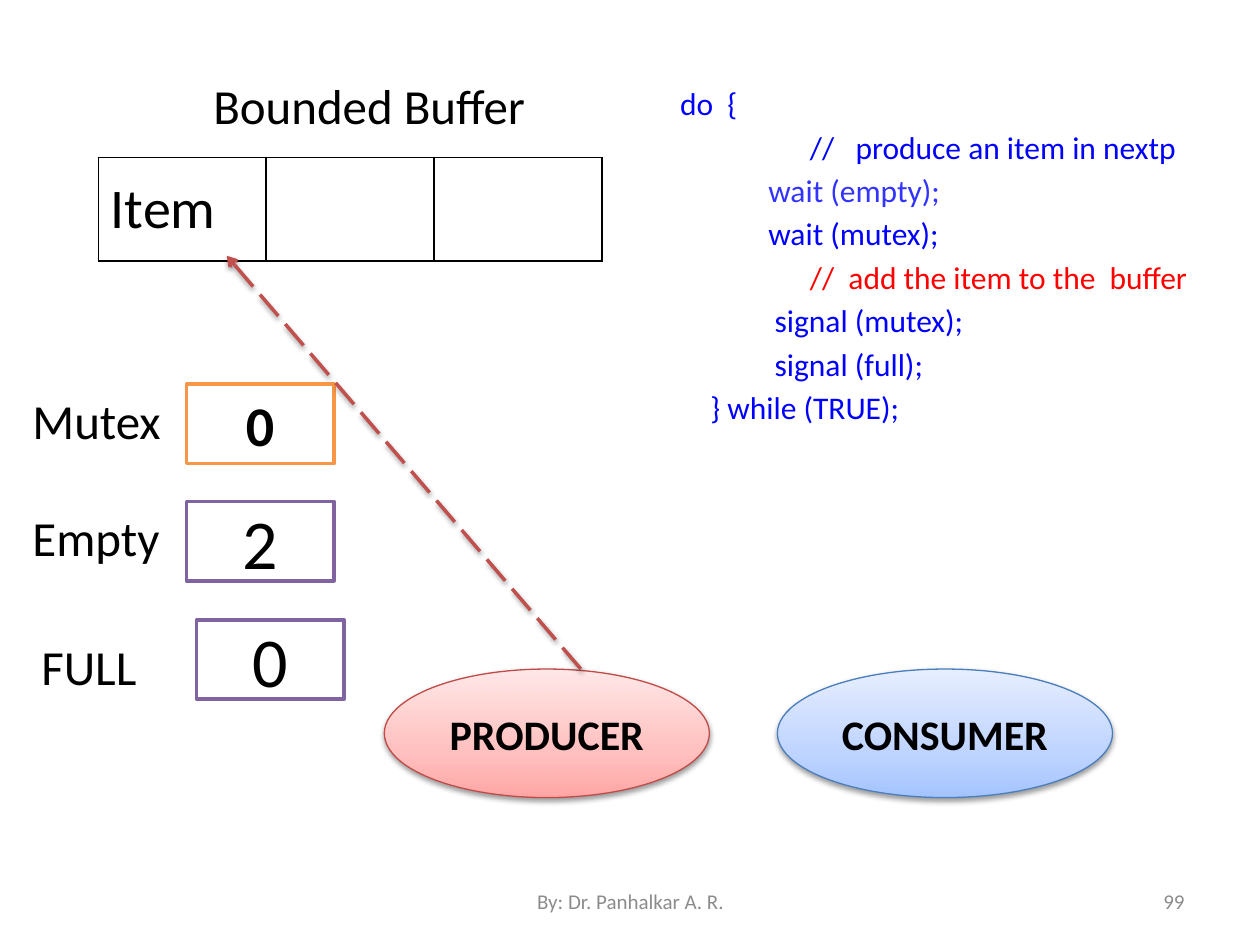
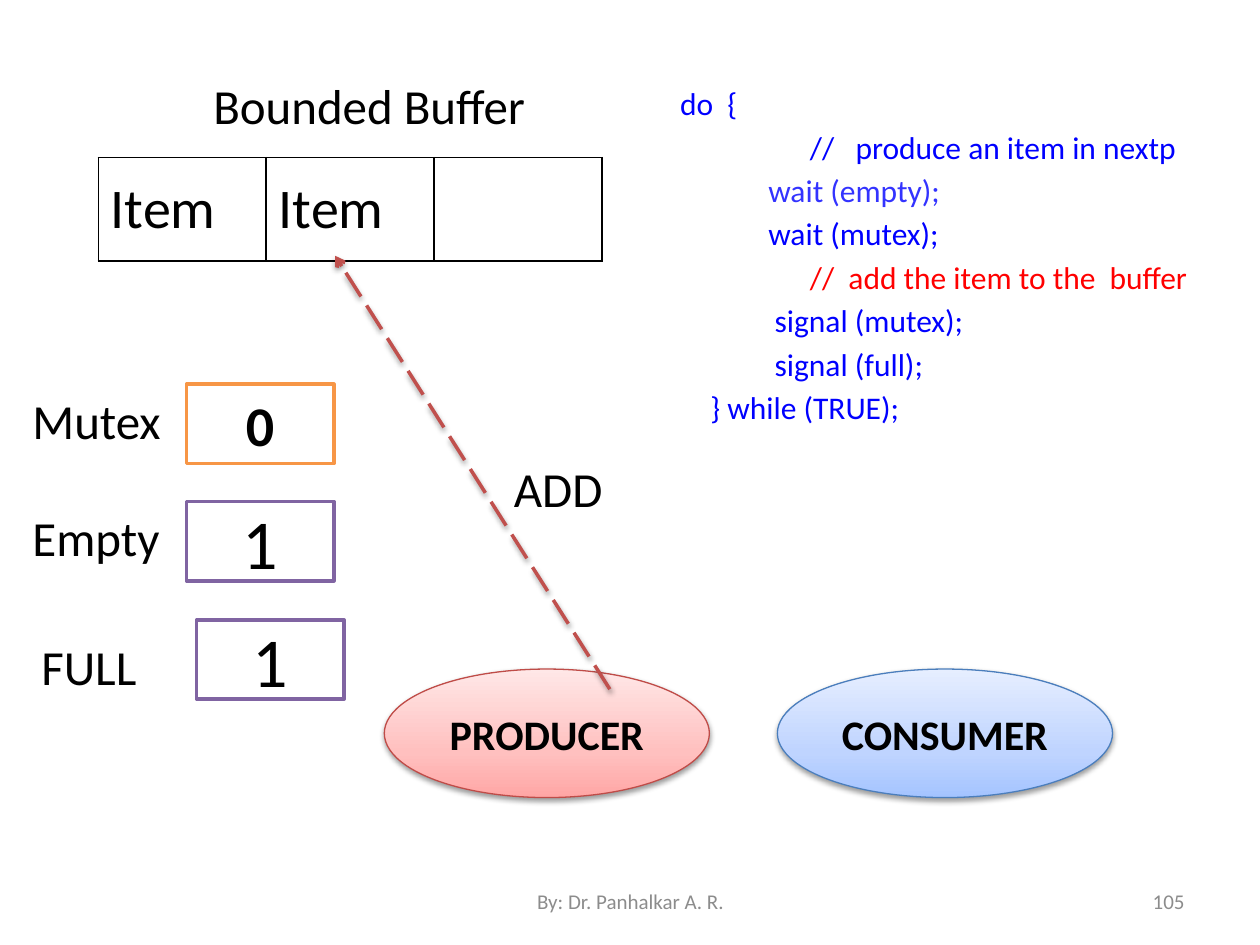
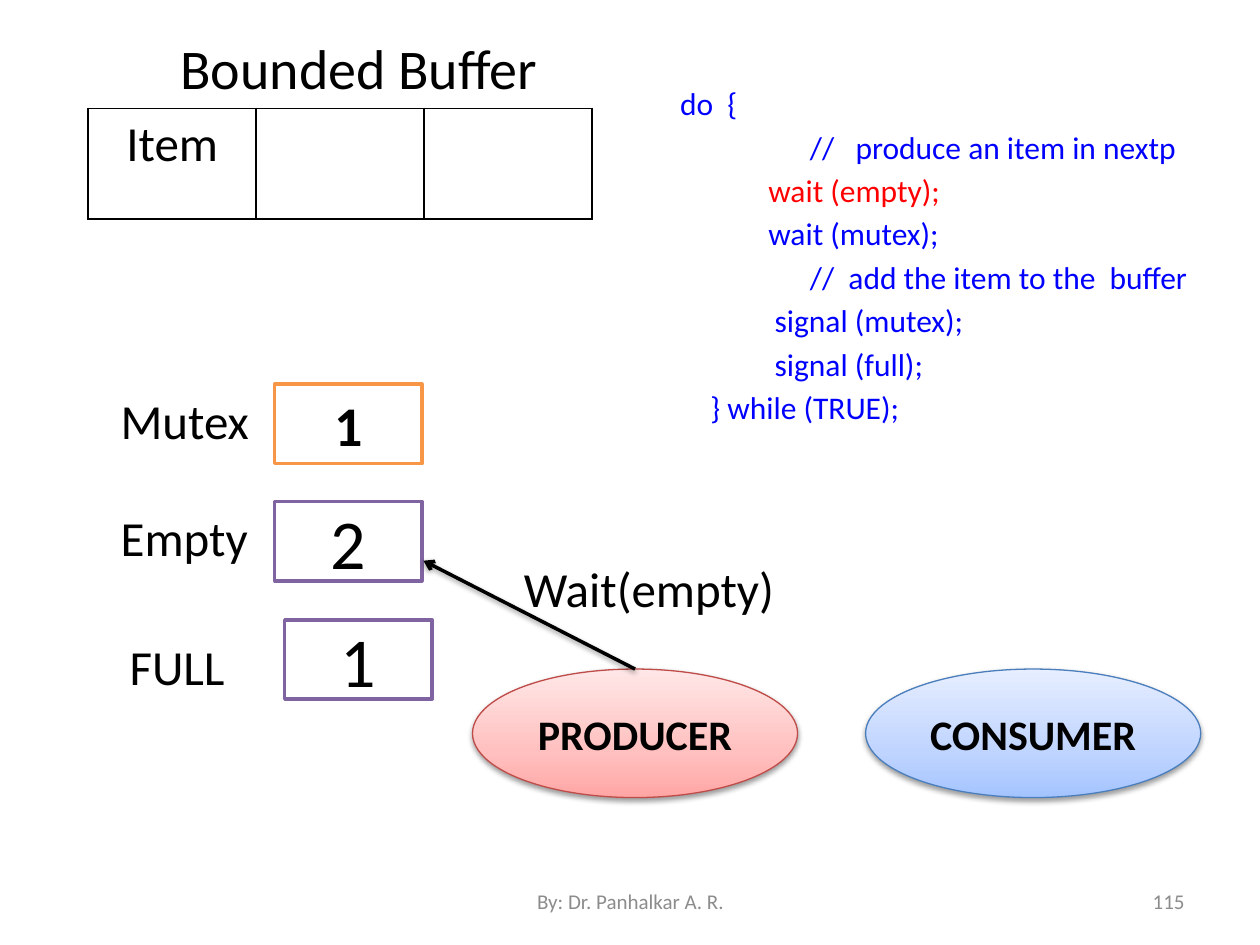
import copy

import pptx
import pptx.dml.color
import pptx.enum.dml
import pptx.enum.shapes
import pptx.enum.text
import pptx.oxml
import pptx.oxml.ns
import pptx.util
from pptx.util import Inches

FONT = "Calibri"
BLACK, WHITE, GREY = "000000", "FFFFFF", "8C8C8C"
BLUE, PALE, RED = "0000FF", "3333FF", "FF0000"
ORANGE, PURPLE, BRICK = "F79646", "8064A2", "C0504D"
ROSES = ("FFA6A5", "FFC0BF", "FFE7E7")
SKIES = ("A4C4FF", "BFD4FF", "E6EEFF")
STOPS = (0, 0.35, 1)

ALIGN = pptx.enum.text.PP_ALIGN
ANCHOR = pptx.enum.text.MSO_ANCHOR
SHAPE = pptx.enum.shapes.MSO_SHAPE
NS = pptx.oxml.ns.nsdecls("a")

# Left indent in inches and wording of each line of the producer's loop
CODE = (
    (0.38, "do  {"),
    (1.41, "//   produce an item in nextp"),
    (1.08, "wait (empty);"),
    (1.08, "wait (mutex);"),
    (1.41, "//  add the item to the  buffer"),
    (1.13, "signal (mutex);"),
    (1.13, "signal (full);"),
    (0.62, "} while (TRUE);"),
)
WAIT, ADD = 2, 4


def color(code):
    return pptx.dml.color.RGBColor.from_string(code)


def add_run(para, text, size, ink=BLACK, bold=False):
    run = para.add_run()
    run.text = text
    run.font.name = FONT
    run.font.size = pptx.util.Pt(size)
    run.font.bold = bold
    run.font.color.rgb = color(ink)


def add_text(slide, box, text, size, ink=BLACK, align=ALIGN.LEFT, anchor=ANCHOR.TOP):
    frame = slide.shapes.add_textbox(*map(Inches, box)).text_frame
    frame.word_wrap = True
    frame.vertical_anchor = anchor
    para = frame.paragraphs[0]
    para.alignment = align
    add_run(para, text, size, ink)


def add_shadow(effects):
    """Put the soft drop shadow into an empty effect list."""
    effects.append(pptx.oxml.parse_xml(
        f'<a:outerShdw {NS} blurRad="{pptx.util.Pt(3.1)}" dist="{pptx.util.Pt(1.6)}" '
        'dir="5400000" rotWithShape="0"><a:srgbClr val="000000">'
        '<a:alpha val="38000"/></a:srgbClr></a:outerShdw>'))


def add_shape(slide, kind, box, text, size, edge, width, bold):
    shape = slide.shapes.add_shape(kind, *map(Inches, box))
    shape.shadow.inherit = False
    shape.line.color.rgb = color(edge)
    shape.line.width = pptx.util.Pt(width)
    shape.text_frame.vertical_anchor = ANCHOR.MIDDLE
    para = shape.text_frame.paragraphs[0]
    para.alignment = ALIGN.CENTER
    add_run(para, text, size, bold=bold)
    return shape


def add_count(slide, box, value, size, edge, bold=False):
    shape = add_shape(slide, SHAPE.RECTANGLE, box, value, size, edge, 2, bold)
    shape.fill.solid()
    shape.fill.fore_color.rgb = color(WHITE)


def add_actor(slide, box, name, tints, edge):
    """Draw a shaded ellipse that stands for one process."""
    shape = add_shape(slide, SHAPE.OVAL, box, name, 24, edge, 0.75, True)
    props = shape.element.spPr
    shape.fill.gradient()
    shape.fill.gradient_angle = 90
    stops = props.find(".//" + pptx.oxml.ns.qn("a:gsLst"))
    stops.append(copy.deepcopy(stops[0]))
    for stop, place, tint in zip(shape.fill.gradient_stops, STOPS, tints):
        stop.position = place
        stop.color.rgb = color(tint)
    add_shadow(props.find(pptx.oxml.ns.qn("a:effectLst")))


def add_arrow(slide, start, end, ink, dashed):
    arrow = slide.shapes.add_connector(
        pptx.enum.shapes.MSO_CONNECTOR.STRAIGHT, *map(Inches, start + end))
    arrow.line.color.rgb = color(ink)
    arrow.line.width = pptx.util.Pt(2)
    if dashed:
        arrow.line.dash_style = pptx.enum.dml.MSO_LINE.LONG_DASH
    arrow.line._get_or_add_ln().append(
        pptx.oxml.parse_xml(f'<a:tailEnd {NS} type="arrow"/>'))
    effects = pptx.oxml.parse_xml(f"<a:effectLst {NS}/>")
    arrow.element.spPr.append(effects)
    add_shadow(effects)


def add_buffer(slide, box, items, size, align, anchor):
    table = slide.shapes.add_table(1, 3, *map(Inches, box)).table
    table.first_row = table.horz_banding = False
    for cell, item in zip(table.iter_cells(), items):
        cell.fill.solid()
        cell.fill.fore_color.rgb = color(WHITE)
        cell.vertical_anchor = anchor
        for spot, side in enumerate("LRTB"):
            cell._tc.get_or_add_tcPr().insert(spot, pptx.oxml.parse_xml(
                f'<a:ln{side} {NS} w="12700"><a:solidFill><a:srgbClr val="{BLACK}"/>'
                f"</a:solidFill></a:ln{side}>"))
        if item:
            para = cell.text_frame.paragraphs[0]
            para.alignment = align
            add_run(para, item, size)


def add_code(slide, inks):
    """Write the loop in blue, save for the lines named in inks."""
    frame = slide.shapes.add_textbox(*map(Inches, (4.92, 0.62, 4.84, 3.44))).text_frame
    frame.word_wrap = True
    for row, (indent, text) in enumerate(CODE):
        para = frame.add_paragraph() if row else frame.paragraphs[0]
        para.space_before = pptx.util.Pt(3.2)
        para._p.get_or_add_pPr().set("marL", str(Inches(indent)))
        add_run(para, text, 18, inks.get(row, BLUE))


def add_state(slide, left, mutex, empty, full):
    """Draw the semaphores and both processes, moved right by left."""
    for x, y, name in ((0.16, 3.05, "Mutex"), (0.16, 3.98, "Empty"), (0.23, 5, "FULL")):
        add_text(slide, (x + left, y, 1.33, 0.57), name, 28)
    add_count(slide, (1.48 + left, 3.05, 1.17, 0.63), mutex, 32, ORANGE, True)
    add_count(slide, (1.48 + left, 3.98, 1.17, 0.63), empty, 40, PURPLE)
    add_count(slide, (1.56 + left, 4.92, 1.17, 0.63), full, 40, PURPLE)
    add_actor(slide, (3.05 + left, 5.31, 2.58, 1.02), "PRODUCER", ROSES, "BF4C48")
    add_actor(slide, (6.17 + left, 5.31, 2.66, 1.02), "CONSUMER", SKIES, "4B7EBC")


def add_footer(slide, number):
    add_text(slide, (7.17, 6.95, 2.33, 0.4), number, 12, GREY, ALIGN.RIGHT, ANCHOR.MIDDLE)
    add_text(slide, (3.42, 6.95, 3.17, 0.4), "By: Dr. Panhalkar A. R.", 12, GREY,
             ALIGN.CENTER, ANCHOR.MIDDLE)


def add_fill(slide, items, empty, full, start, end):
    """Show the producer as it puts an item into the buffer."""
    add_buffer(slide, (0.78, 1.25, 4, 0.82), items, 32, ALIGN.LEFT, ANCHOR.MIDDLE)
    add_text(slide, (0.86, 0.55, 4.14, 0.57), "Bounded Buffer", 28, align=ALIGN.CENTER)
    add_state(slide, 0, "0", empty, full)
    add_arrow(slide, start, end, BRICK, True)
    add_code(slide, {WAIT: PALE, ADD: RED})


def add_wait(slide):
    """Show the producer as it waits on the empty semaphore."""
    add_buffer(slide, (0.7, 0.86, 4, 0.88), ("Item", "", ""), 28, ALIGN.CENTER, ANCHOR.TOP)
    add_text(slide, (0.78, 0.22, 4.14, 0.64), "Bounded Buffer", 32, align=ALIGN.CENTER)
    add_state(slide, 0.7, "1", "2", "1")
    add_arrow(slide, (5.04, 5.31), (3.36, 4.45), BLACK, False)
    add_text(slide, (4.06, 4.38, 2.42, 0.57), "Wait(empty)", 28)
    add_code(slide, {WAIT: RED})


def main():
    deck = pptx.Presentation()
    deck.slide_width, deck.slide_height = Inches(10), Inches(7.5)
    first, second, third = (deck.slides.add_slide(deck.slide_layouts[6]) for _ in range(3))

    add_fill(first, ("Item", "", ""), "2", "0", (4.61, 5.31), (1.8, 2.03))
    add_fill(second, ("Item", "Item", ""), "1", "1", (4.84, 5.47), (2.66, 2.03))
    add_text(second, (3.98, 3.59, 1.41, 0.57), "ADD", 28)
    add_wait(third)

    for slide, number in zip(deck.slides, ("99", "105", "115")):
        add_footer(slide, number)
    deck.save("out.pptx")


if __name__ == "__main__":
    main()
